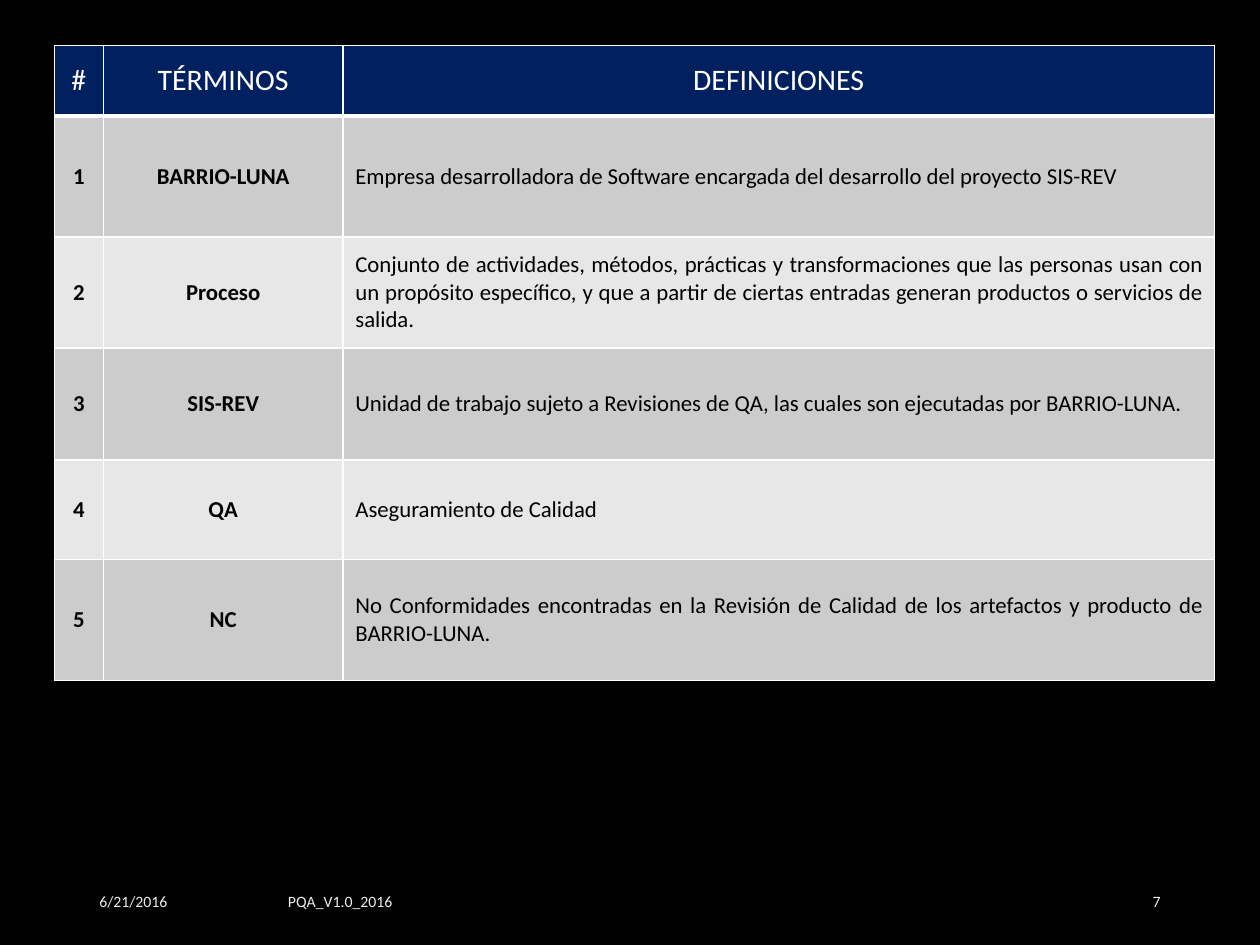
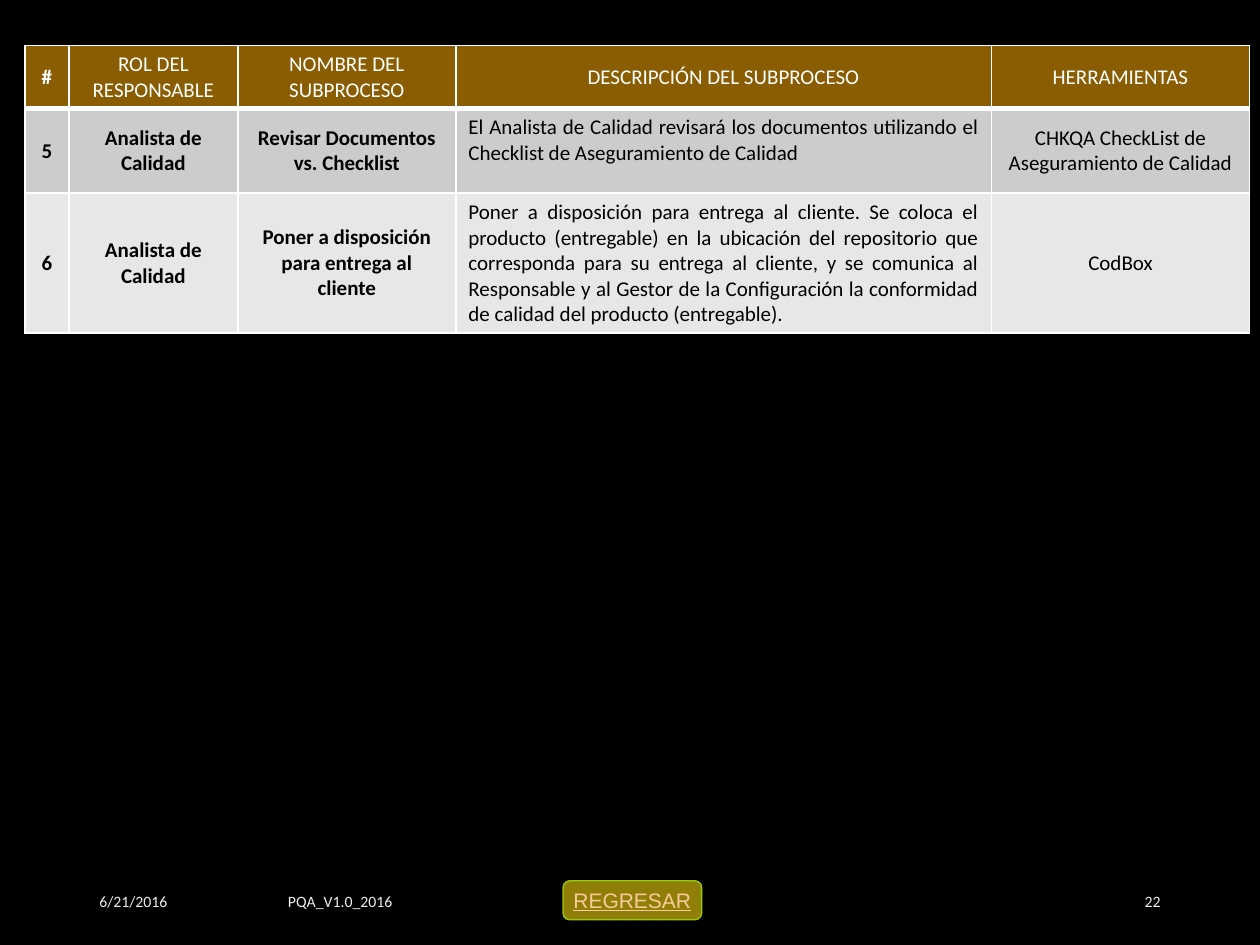
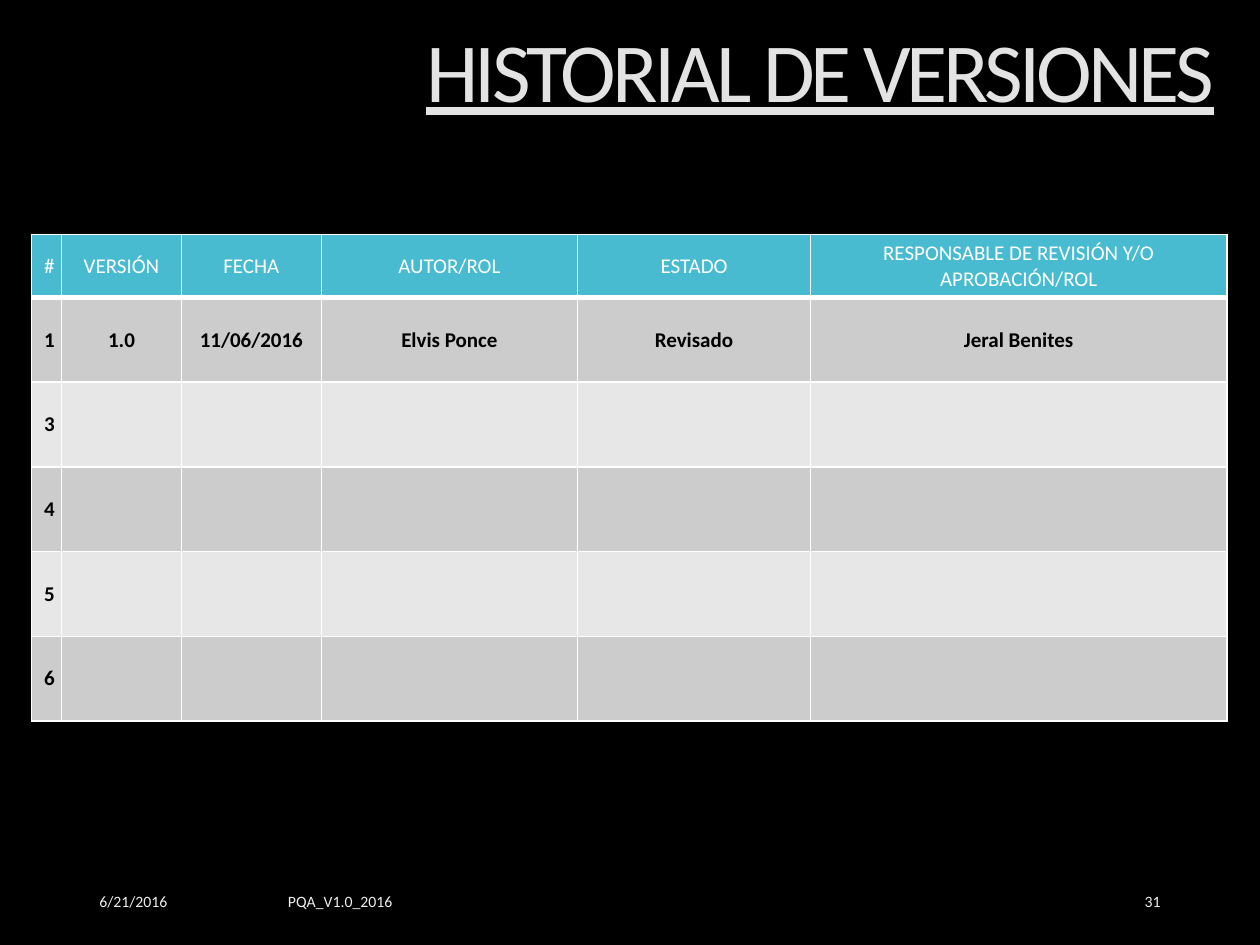
import lxml.etree
import pptx
import pptx.dml.color
import pptx.enum.shapes
import pptx.enum.text
import pptx.oxml.ns
import pptx.util

Pt = pptx.util.Pt
ALIGN = pptx.enum.text.PP_ALIGN
ANCHOR = pptx.enum.text.MSO_ANCHOR
qn = pptx.oxml.ns.qn

COLORS = {
    "background": "000000",
    "text": "000000",
    "white": "FFFFFF",
    "band_dark": "CCCCCC",
    "band_light": "E7E7E7",
    "terms_header": "002060",
    "process_header": "8A5D02",
    "history_header": "49BBD1",
    "button": "8F7F08",
    "button_line": "99CC00",
    "button_text": "FBCA98",
}
RGB = {name: pptx.dml.color.RGBColor.from_string(code) for name, code in COLORS.items()}
FOOTER_GRADIENT = [(0, "9E9E9E"), (28, "EDEDED"), (100, "FFFFFF")]
TITLE_GRADIENT = [(1, "969696"), (32, "E3E3E3"), (100, "FFFFFF")]

# Footer parts: left, width, alignment
FOOTER_TOP, FOOTER_HEIGHT = 500.4, 28.8
FOOTER_PARTS = [
    (49.7, 162, ALIGN.LEFT),
    (51.8, 285.1, ALIGN.CENTER),
    (508.3, 162, ALIGN.RIGHT),
]

slides = [
    {
        "number": "7", "header": "terms_header", "header_size": 17, "body_size": 13,
        "left": 31, "top": 26,
        "columns": [28.1, 136.8, 498.2],
        "heights": [40.3, 69.1, 63.4, 64.1, 56.9, 69.1],
        "bold_columns": 2, "justified_column": 2, "top_cell": None,
        "rows": [
            ["#", "TÉRMINOS", "DEFINICIONES"],
            ["1", "BARRIO-LUNA",
             "Empresa desarrolladora de Software encargada del desarrollo del proyecto SIS-REV"],
            ["2", "Proceso",
             "Conjunto de actividades, métodos, prácticas y transformaciones que las personas "
             "usan con un propósito específico, y que a partir de ciertas entradas generan "
             "productos o servicios de salida."],
            ["3", "SIS-REV",
             "Unidad de trabajo sujeto a Revisiones de QA, las cuales son ejecutadas por "
             "BARRIO-LUNA."],
            ["4", "QA", "Aseguramiento de Calidad"],
            ["5", "NC",
             "No Conformidades encontradas en la Revisión de Calidad de los artefactos y "
             "producto de BARRIO-LUNA."],
        ],
    },
    {
        "number": "22", "header": "process_header", "header_size": 12, "body_size": 12,
        "left": 14.2, "top": 26,
        "columns": [25.2, 96.5, 124.6, 306, 147.6],
        "heights": [36, 48.4, 80],
        "bold_columns": 3, "justified_column": 3, "top_cell": (1, 3),
        "button": "REGRESAR",
        "rows": [
            ["#", "ROL DEL RESPONSABLE", "NOMBRE DEL SUBPROCESO",
             "DESCRIPCIÓN DEL SUBPROCESO", "HERRAMIENTAS"],
            ["5", "Analista de Calidad", "Revisar Documentos vs. Checklist",
             "El Analista de Calidad revisará los documentos utilizando el Checklist de "
             "Aseguramiento de Calidad",
             "CHKQA CheckList de Aseguramiento de Calidad"],
            ["6", "Analista de Calidad", "Poner a disposición para entrega al cliente",
             "Poner a disposición para entrega al cliente. Se coloca el producto (entregable) "
             "en la ubicación del repositorio que corresponda para su entrega al cliente, y se "
             "comunica al Responsable y al Gestor de la Configuración la conformidad de "
             "calidad del producto (entregable).",
             "CodBox"],
        ],
    },
    {
        "number": "31", "header": "history_header", "header_size": 12, "body_size": 12,
        "left": 18, "top": 134,
        "columns": [16.9, 68.4, 80, 146.4, 133.2, 237.9],
        "heights": [36] + [48.4] * 5,
        "bold_columns": 6, "justified_column": None, "top_cell": None,
        "title": "HISTORIAL DE VERSIONES",
        "rows": [
            ["#", "VERSIÓN", "FECHA", "AUTOR/ROL", "ESTADO",
             "RESPONSABLE DE REVISIÓN Y/O APROBACIÓN/ROL"],
            ["1", "1.0", "11/06/2016", "Elvis Ponce", "Revisado", "Jeral Benites"],
        ] + [[number] + [""] * 5 for number in "3456"],
    },
]


def add_span(frame, text, size, align, color=None, font="Calibri"):
    """Write one run into the first paragraph of a text frame."""
    para = frame.paragraphs[0]
    para.alignment = align
    span = para.add_run()
    span.text = text
    span.font.name = font
    span.font.size = Pt(size)
    if color is not None:
        span.font.color.rgb = color
    return span


def fill_gradient(span, stops, angle):
    """Give the letters of a run a linear gradient; stops are in percent."""
    gradient = lxml.etree.Element(qn("a:gradFill"))
    stop_list = lxml.etree.SubElement(gradient, qn("a:gsLst"))
    for position, color in stops:
        stop = lxml.etree.SubElement(stop_list, qn("a:gs"), pos=str(position * 1000))
        lxml.etree.SubElement(stop, qn("a:srgbClr"), val=color)
    lxml.etree.SubElement(gradient, qn("a:lin"), ang=str(angle * 60000), scaled="0")
    span.font._element.insert(0, gradient)


deck = pptx.Presentation()
deck.slide_width, deck.slide_height = Pt(720), Pt(540)

for content in slides:
    page = deck.slides.add_slide(deck.slide_layouts[6])
    page.background.fill.solid()
    page.background.fill.fore_color.rgb = RGB["background"]

    if "title" in content:
        box = page.shapes.add_textbox(Pt(20.2), Pt(13.7), Pt(680.4), Pt(80))
        box.text_frame.word_wrap = True
        span = add_span(box.text_frame, content["title"], 48, ALIGN.RIGHT)
        span.font.underline = True
        span.font._element.set("spc", "-220")
        fill_gradient(span, TITLE_GRADIENT, 135)
        box.text_frame.paragraphs[0].line_spacing = 0.9

    footer_texts = ["6/21/2016", "PQA_V1.0_2016", content["number"]]
    for text, (left, width, align) in zip(footer_texts, FOOTER_PARTS):
        box = page.shapes.add_textbox(Pt(left), Pt(FOOTER_TOP), Pt(width), Pt(FOOTER_HEIGHT))
        box.text_frame.word_wrap = True
        box.text_frame.vertical_anchor = ANCHOR.MIDDLE
        span = add_span(box.text_frame, text, 9, align)
        fill_gradient(span, FOOTER_GRADIENT, 90)

    rows, columns, heights = content["rows"], content["columns"], content["heights"]
    table = page.shapes.add_table(
        len(rows), len(columns), Pt(content["left"]), Pt(content["top"]),
        Pt(sum(columns)), Pt(sum(heights))).table
    table.first_row = table.horz_banding = False
    for column, width in zip(table.columns, columns):
        column.width = Pt(width)
    for row, height in zip(table.rows, heights):
        row.height = Pt(height)

    for row_index, row in enumerate(rows):
        is_header = row_index == 0
        band = "band_dark" if row_index % 2 else "band_light"
        for column_index, text in enumerate(row):
            cell = table.cell(row_index, column_index)
            is_top = (row_index, column_index) == content["top_cell"]
            cell.vertical_anchor = ANCHOR.TOP if is_top else ANCHOR.MIDDLE
            cell.fill.solid()
            cell.fill.fore_color.rgb = RGB[content["header"] if is_header else band]

            for position, side in enumerate("LRTB"):
                weight = 3 if is_header and side == "B" else 1
                border = lxml.etree.Element(qn("a:ln" + side), w=str(Pt(weight)))
                paint = lxml.etree.SubElement(border, qn("a:solidFill"))
                lxml.etree.SubElement(paint, qn("a:srgbClr"), val=COLORS["white"])
                cell._tc.get_or_add_tcPr().insert(position, border)

            if text:
                is_justified = not is_header and column_index == content["justified_column"]
                span = add_span(
                    cell.text_frame, text,
                    content["header_size" if is_header else "body_size"],
                    ALIGN.JUSTIFY if is_justified else ALIGN.CENTER,
                    RGB["white" if is_header else "text"])
                # The number sign of the process table is bold like its column.
                span.font.bold = (
                    column_index < content["bold_columns"] and not is_header
                    or text == "#" and "button" in content)

    if "button" in content:
        button = page.shapes.add_shape(
            pptx.enum.shapes.MSO_SHAPE.FLOWCHART_ALTERNATE_PROCESS,
            Pt(321.8), Pt(503.3), Pt(79.2), Pt(22.3))
        button.shadow.inherit = False
        button.fill.solid()
        button.fill.fore_color.rgb = RGB["button"]
        button.line.color.rgb = RGB["button_line"]
        button.line.width = Pt(0.75)
        button.text_frame.word_wrap = False
        button.text_frame.vertical_anchor = ANCHOR.MIDDLE
        span = add_span(button.text_frame, content["button"], 12, ALIGN.CENTER,
                        RGB["button_text"], "Arial")
        span.font.underline = True

deck.save("out.pptx")
